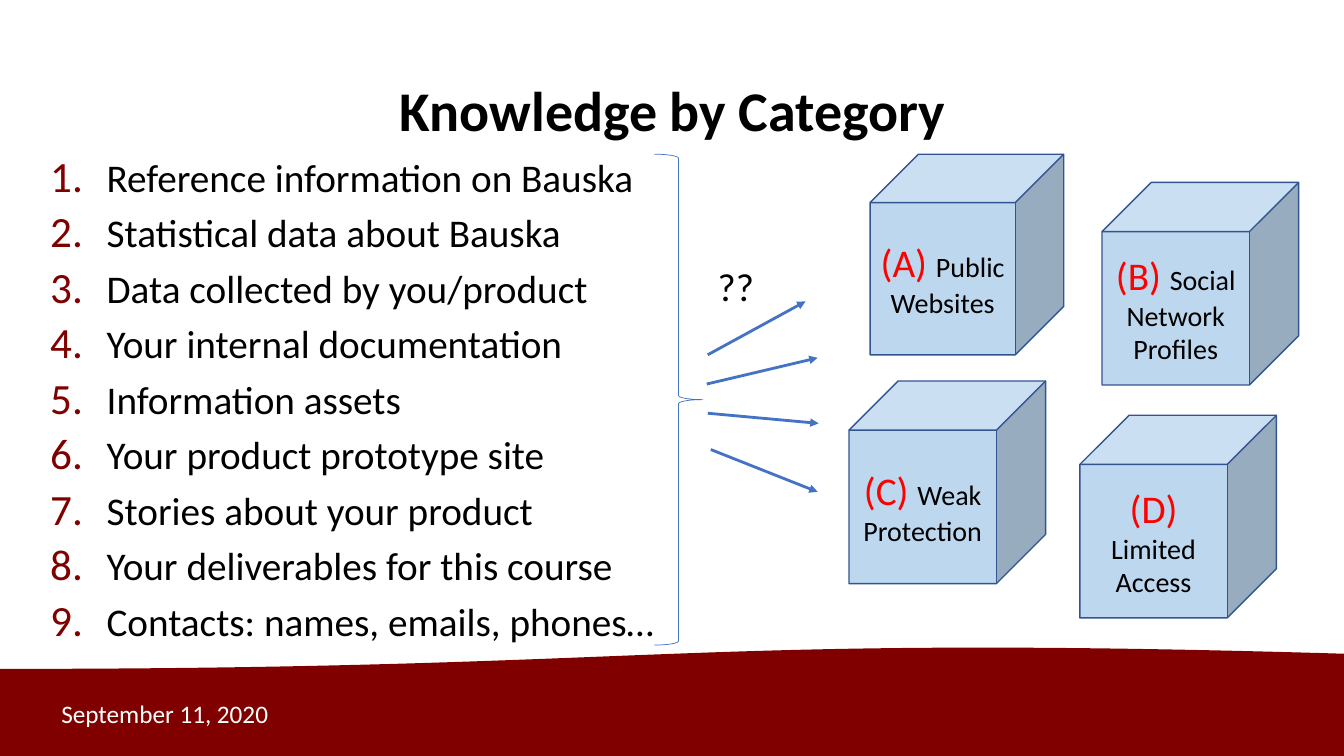
from lxml import etree
from pptx import Presentation
from pptx.dml.color import RGBColor
from pptx.enum.shapes import MSO_CONNECTOR, MSO_SHAPE
from pptx.enum.text import MSO_ANCHOR, PP_ALIGN
from pptx.oxml.ns import qn
from pptx.util import Inches, Pt

CENTER, LEFT = PP_ALIGN.CENTER, PP_ALIGN.LEFT
MIDDLE, TOP = MSO_ANCHOR.MIDDLE, MSO_ANCHOR.TOP
FONT = "Calibri"
MAROON, BLACK, WHITE, RED = "800000", "000000", "FFFFFF", "FF0000"
BLUE, CUBE_FILL, CUBE_LINE = "4472C4", "BDD7EE", "325491"

# Content
TITLE = "Knowledge by Category"
DATE = "September 11, 2020"
ITEMS = [
    "Reference information on Bauska",
    "Statistical data about Bauska",
    "Data collected by you/product",
    "Your internal documentation",
    "Information assets",
    "Your product prototype site",
    "Stories about your product",
    "Your deliverables for this course",
    "Contacts: names, emails, phones…",
]
CUBES = [  # letter, label, (left, top, width, height)
    ("A", "Public Websites", (8.63, 1.53, 1.92, 1.99)),
    ("C", "Weak Protection", (8.42, 3.78, 1.95, 2.01)),
    ("D", "Limited Access", (10.71, 4.12, 1.95, 2.01)),
    ("B", "Social Network Profiles", (10.93, 1.81, 1.95, 2.01)),
]
ARROWS = [  # from, to
    ((7.02, 3.52), (7.99, 2.99)),
    ((7.01, 3.81), (8.11, 3.55)),
    ((7.02, 4.1), (8.12, 4.2)),
    ((7.05, 4.46), (8.11, 4.88)),
]

prs = Presentation()
prs.slide_width, prs.slide_height = Inches(13.33), Inches(7.5)
s = prs.slides.add_slide(prs.slide_layouts[6])


def rgb(color):
    return RGBColor.from_string(color)


def add_run(p, text, size, color, bold=False):
    r = p.add_run()
    r.text = text
    for key, value in {"name": FONT, "size": Pt(size), "bold": bold}.items():
        setattr(r.font, key, value)
    r.font.color.rgb = rgb(color)


def add_shape(kind, box, fill=None, line=None, width=1):
    sp = s.shapes.add_shape(kind, *map(Inches, box))
    sp.shadow.inherit = False
    if fill:
        sp.fill.solid()
        sp.fill.fore_color.rgb = rgb(fill)
    else:
        sp.fill.background()
    if line:
        sp.line.color.rgb = rgb(line)
        sp.line.width = Pt(width)
    else:
        sp.line.fill.background()
    return sp


def add_text(box, text, size, color, align=LEFT, anchor=TOP, bold=False, wrap=True):
    tf = s.shapes.add_textbox(*map(Inches, box)).text_frame
    tf.word_wrap = wrap
    tf.vertical_anchor = anchor
    p = tf.paragraphs[0]
    p.alignment = align
    add_run(p, text, size, color, bold)
    return p


def add_number(p):
    pPr = p._p.get_or_add_pPr()
    pPr.set("marL", str(Inches(0.56)))
    pPr.set("indent", str(-Inches(0.56)))
    color = etree.SubElement(pPr, qn("a:buClr"))
    etree.SubElement(color, qn("a:srgbClr"), val=MAROON)
    etree.SubElement(pPr, qn("a:buSzPct"), val="110000")
    etree.SubElement(pPr, qn("a:buFont"), typeface=FONT)
    etree.SubElement(pPr, qn("a:buAutoNum"), type="arabicPeriod")


# Footer wave, title and date
wave = add_shape(MSO_SHAPE.FLOWCHART_DOCUMENT, (0, 6.41, 13.33, 1.14), MAROON)
wave.rotation = 180
title = add_text((0.92, 0.4, 11.5, 1.45), TITLE, 40, BLACK, CENTER, MIDDLE, bold=True)
title.line_spacing = 0.9
add_text((0.51, 6.88, 3, 0.4), DATE, 18, WHITE, anchor=MIDDLE)

# Numbered list
tf = s.shapes.add_textbox(*map(Inches, (0.4, 1.52, 6.34, 4.97))).text_frame
tf.word_wrap = True
for i, item in enumerate(ITEMS):
    p = tf.add_paragraph() if i else tf.paragraphs[0]
    add_number(p)
    p.line_spacing = 0.9
    p.space_before = Pt(9.4 if i else 0)
    add_run(p, item, 28, BLACK)

# Category cubes
for letter, label, box in CUBES:
    tf = add_shape(MSO_SHAPE.CUBE, box, CUBE_FILL, CUBE_LINE).text_frame
    tf.word_wrap = True
    tf.vertical_anchor = MIDDLE
    p = tf.paragraphs[0]
    p.alignment = CENTER
    add_run(p, f"({letter}) ", 28, RED)
    add_run(p, label, 20, BLACK)

# Brace, arrows and question marks
add_shape(MSO_SHAPE.RIGHT_BRACE, (6.49, 1.53, 0.48, 4.87), line=BLUE, width=0.5)
for start, end in ARROWS:
    arrow = s.shapes.add_connector(MSO_CONNECTOR.STRAIGHT, *map(Inches, start + end))
    arrow.line.color.rgb = rgb(BLUE)
    arrow.line.width = Pt(2)
    etree.SubElement(arrow.line._get_or_add_ln(), qn("a:tailEnd"), type="triangle")
    etree.SubElement(arrow._element.spPr, qn("a:effectLst"))
add_text((7.02, 2.55, 0.57, 0.57), "??", 28, BLACK, wrap=False)

prs.save("out.pptx")
